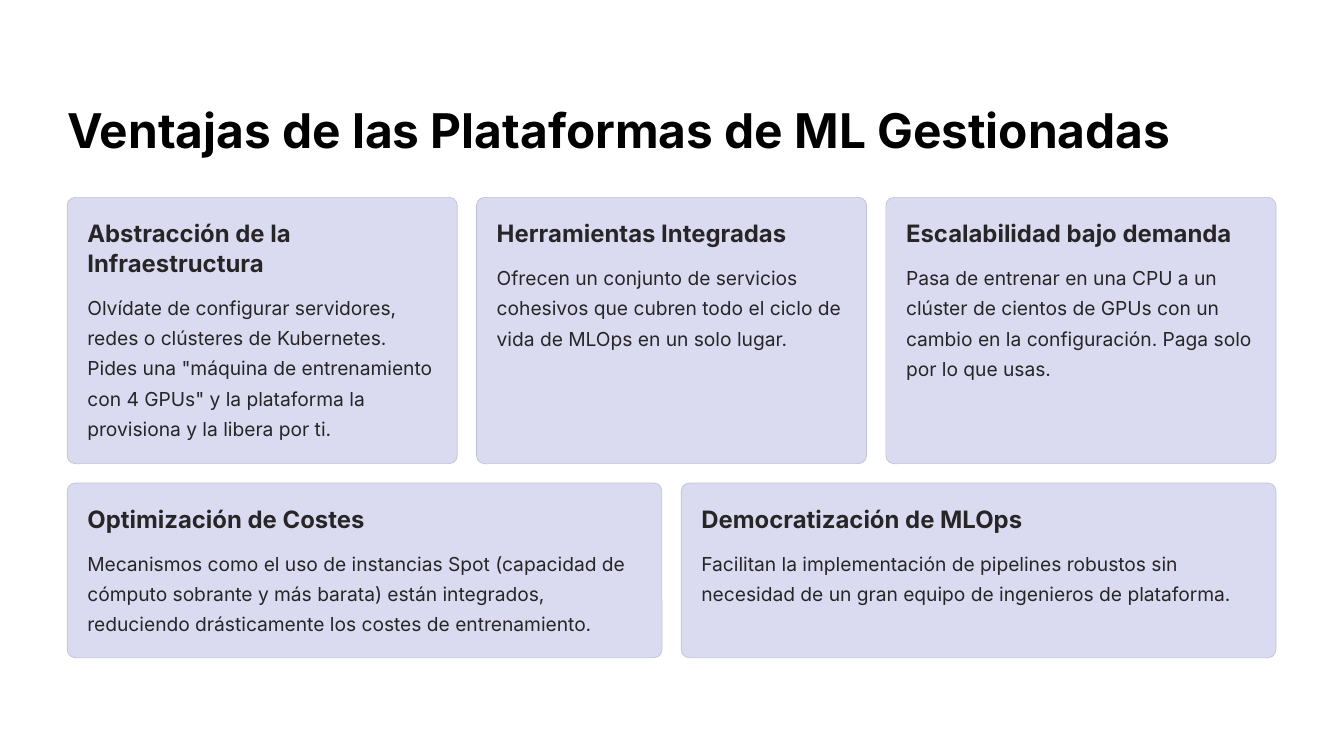
from dataclasses import dataclass

from pptx import Presentation
from pptx.dml.color import RGBColor
from pptx.enum import shapes, text
from pptx.slide import Slide
from pptx.util import Inches, Pt

COLORS = {"title": "000000", "text": "272525", "card": "DADBF1", "border": "C0C1D7", "page": "FFFFFF"}
LEFT, CONTENT_WIDTH = 0.8, 14.39
GAP, PADDING, RADIUS = 0.23, 0.24, 0.095


@dataclass(frozen=True)
class TextStyle:
    size: float
    spacing: float
    color: str
    bold: bool


TITLE = TextStyle(41, 51.5, "title", True)
HEADING = TextStyle(20.5, 25.5, "text", True)
BODY = TextStyle(16.5, 26, "text", False)


@dataclass(frozen=True)
class Card:
    heading: str
    heading_width: float
    heading_lines: int
    body: str
    body_lines: int


@dataclass(frozen=True)
class Row:
    top: float
    height: float
    cards: tuple[Card, ...]


ROWS = (
    Row(2.35, 3.17, (
        Card("Abstracción de la Infraestructura", 4.17, 2,
             "Olvídate de configurar servidores, redes o clústeres de Kubernetes. "
             'Pides una "máquina de entrenamiento con 4 GPUs" y la plataforma la '
             "provisiona y la libera por ti.", 5),
        Card("Herramientas Integradas", 3.48, 1,
             "Ofrecen un conjunto de servicios cohesivos que cubren todo el ciclo de "
             "vida de MLOps en un solo lugar.", 3),
        Card("Escalabilidad bajo demanda", 3.91, 1,
             "Pasa de entrenar en una CPU a un clúster de cientos de GPUs con un "
             "cambio en la configuración. Paga solo por lo que usas.", 4),
    )),
    Row(5.75, 2.08, (
        Card("Optimización de Costes", 3.33, 1,
             "Mecanismos como el uso de instancias Spot (capacidad de cómputo "
             "sobrante y más barata) están integrados, reduciendo drásticamente los "
             "costes de entrenamiento.", 3),
        Card("Democratización de MLOps", 3.86, 1,
             "Facilitan la implementación de pipelines robustos sin necesidad de un "
             "gran equipo de ingenieros de plataforma.", 2),
    )),
)


def rgb(name: str) -> RGBColor:
    return RGBColor.from_string(COLORS[name])


def add_text(page: Slide, words: str, left: float, top: float, width: float,
             height: float, style: TextStyle, wrap: bool) -> None:
    box = page.shapes.add_textbox(Inches(left), Inches(top), Inches(width), Inches(height))
    frame_format = {
        "margin_left": 0, "margin_top": 0, "margin_right": 0, "margin_bottom": 0,
        "word_wrap": wrap, "vertical_anchor": text.MSO_ANCHOR.TOP,
    }
    for name, value in frame_format.items():
        setattr(box.text_frame, name, value)
    para = box.text_frame.paragraphs[0]
    para.line_spacing = Pt(style.spacing)
    span = para.add_run()
    span.text = words
    font_format = {"name": "Inter", "size": Pt(style.size), "bold": style.bold}
    for name, value in font_format.items():
        setattr(span.font, name, value)
    span.font.color.rgb = rgb(style.color)


def add_card(page: Slide, card: Card, left: float, top: float, width: float, height: float) -> None:
    panel = page.shapes.add_shape(shapes.MSO_SHAPE.ROUNDED_RECTANGLE, Inches(left),
                                  Inches(top), Inches(width), Inches(height))
    panel.adjustments[0] = RADIUS / min(width, height)
    panel.shadow.inherit = False
    panel.fill.solid()
    panel.fill.fore_color.rgb = rgb("card")
    panel.line.color.rgb = rgb("border")
    panel.line.width = Pt(0.6)

    text_left, heading_top = left + PADDING, top + PADDING
    heading_height = card.heading_lines * HEADING.spacing / 72
    add_text(page, card.heading, text_left, heading_top, card.heading_width,
             heading_height, HEADING, card.heading_lines > 1)
    add_text(page, card.body, text_left, heading_top + heading_height + 0.14,
             width - 2 * PADDING, card.body_lines * BODY.spacing / 72 + 0.02, BODY, True)


def add_row(page: Slide, row: Row) -> None:
    """Share the content width equally among the cards of a row."""
    count = len(row.cards)
    width = (CONTENT_WIDTH - GAP * (count - 1)) / count
    for column, card in enumerate(row.cards):
        add_card(page, card, LEFT + column * (width + GAP), row.top, width, row.height)


def main() -> None:
    deck = Presentation()
    deck.slide_width, deck.slide_height = Inches(16), Inches(9)
    page = deck.slides.add_slide(deck.slide_layouts[6])
    page.background.fill.solid()
    page.background.fill.fore_color.rgb = rgb("page")
    add_text(page, "Ventajas de las Plataformas de ML Gestionadas",
             LEFT, 1.17, 13.26, 0.72, TITLE, False)
    for row in ROWS:
        add_row(page, row)
    deck.save("out.pptx")


if __name__ == "__main__":
    main()
